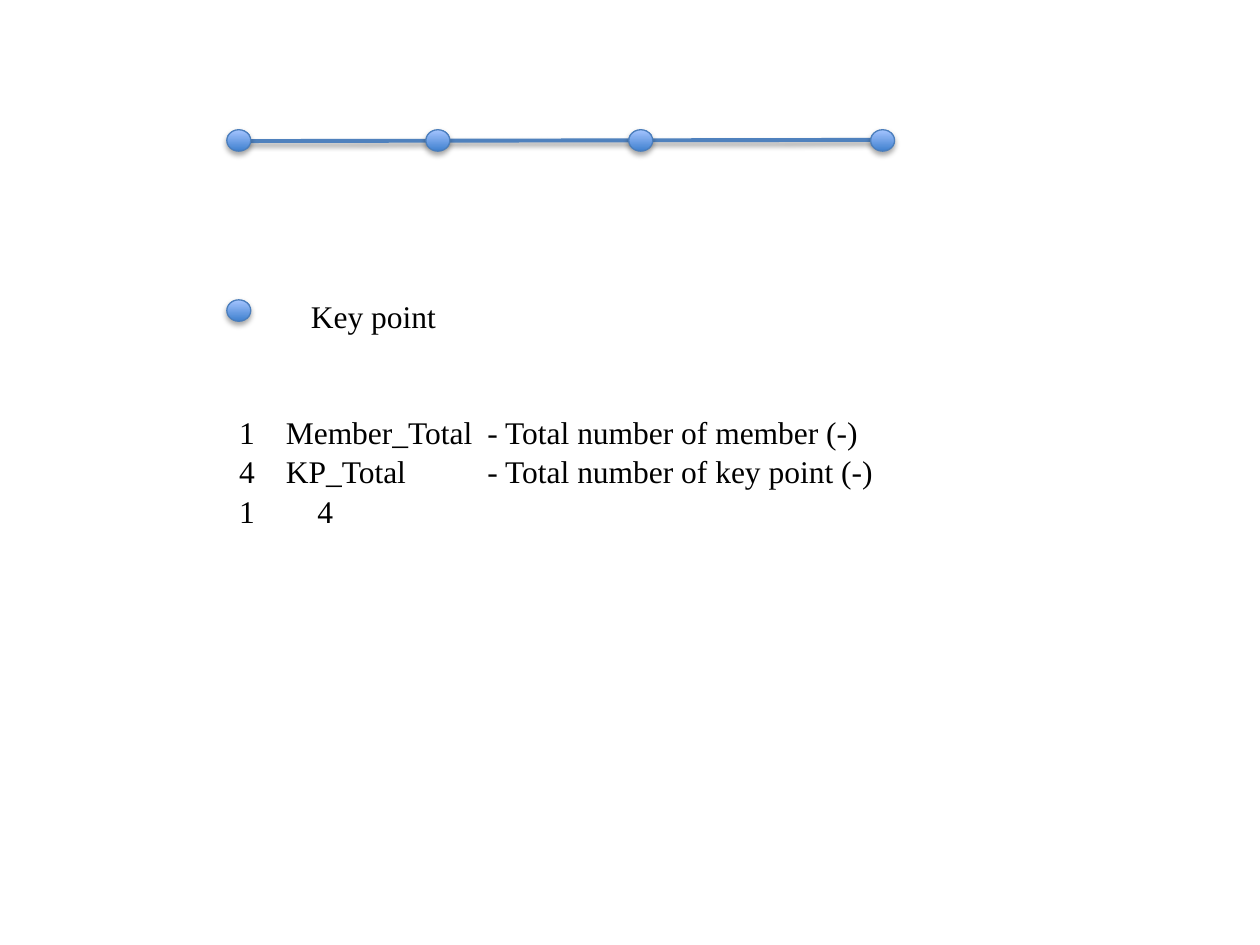
import pptx
import pptx.util
import pptx.dml.color
import pptx.enum.shapes
import pptx.enum.text
import pptx.oxml
import pptx.oxml.ns

Inches, Pt = pptx.util.Inches, pptx.util.Pt
HUES = {"line": "4F81BD", "edge": "4B7EBC", "low": "3F80CE",
        "high": "A4C4FF", "text": "000000"}
FONT = {"name": "Times New Roman", "size": Pt(18)}
FRAME = {"word_wrap": True,
         "auto_size": pptx.enum.text.MSO_AUTO_SIZE.SHAPE_TO_FIT_TEXT}
DOT_W, DOT_H = 0.19, 0.17


def rgb(name):
    return pptx.dml.color.RGBColor.from_string(HUES[name])


def apply(item, values):
    for key, value in values.items():
        setattr(item, key, value)


def add_shadow(shape, alpha, dist):
    """Cast a soft black shadow straight down."""
    shape._element.spPr.append(pptx.oxml.parse_xml(
        f'<a:effectLst {pptx.oxml.ns.nsdecls("a")}>'
        f'<a:outerShdw blurRad="{Pt(3.1)}" dist="{Pt(dist)}" dir="5400000" '
        f'rotWithShape="0"><a:srgbClr val="000000">'
        f'<a:alpha val="{alpha * 1000}"/></a:srgbClr>'
        f'</a:outerShdw></a:effectLst>'))


def add_dot(slide, left, top):
    dot = slide.shapes.add_shape(
        pptx.enum.shapes.MSO_SHAPE.OVAL,
        Inches(left), Inches(top), Inches(DOT_W), Inches(DOT_H))
    dot.fill.gradient()
    dot.fill.gradient_angle = 90
    for stop, place, hue in zip(dot.fill.gradient_stops, (0, 1), ("low", "high")):
        stop.position = place
        stop.color.rgb = rgb(hue)
    dot.line.color.rgb = rgb("edge")
    dot.line.width = Pt(0.75)
    add_shadow(dot, 35, 1.8)


def add_text(slide, box, rows):
    """Each row is its text and the tab stops, in inches, that align it."""
    frame = slide.shapes.add_textbox(*map(Inches, box)).text_frame
    apply(frame, FRAME)
    for i, (text, tabs) in enumerate(rows):
        para = frame.paragraphs[0] if i == 0 else frame.add_paragraph()
        para.line_spacing = 1.05
        if tabs:
            stops = "".join(f'<a:tab pos="{Inches(tab)}" algn="l"/>' for tab in tabs)
            para._p.get_or_add_pPr().append(pptx.oxml.parse_xml(
                f'<a:tabLst {pptx.oxml.ns.nsdecls("a")}>{stops}</a:tabLst>'))
        run = para.add_run()
        run.text = text
        apply(run.font, FONT)
        run.font.color.rgb = rgb("text")


def add_beam(slide, left, top, width):
    """A member with key points at the given offsets."""
    mid = top + DOT_H / 2
    beam = slide.shapes.add_connector(
        pptx.enum.shapes.MSO_CONNECTOR.STRAIGHT,
        Inches(left + 0.09), Inches(mid + 0.005),
        Inches(left + width - 0.09), Inches(mid - 0.005))
    beam.line.color.rgb = rgb("line")
    beam.line.width = Pt(2.25)
    add_shadow(beam, 38, 1.6)
    for step in (0, 1.58, 3.19, width - DOT_W):
        add_dot(slide, left + step, top)


def add_key(slide, left, top):
    add_dot(slide, left, top + 0.09)
    add_text(slide, (left + 0.57, top, 1.94, 0.4), [("Key point", ())])


def add_notes(slide, left, top, width, height):
    cols = (0.37, 1.97)
    add_text(slide, (left, top, width, height), [
        ("1\tMember_Total\t- Total number of member (-)", cols),
        ("4\tKP_Total\t- Total number of key point (-)", cols),
        ("1\t4", (0.62,)),
    ])


def main():
    deck = pptx.Presentation()
    apply(deck, {"slide_width": Inches(10), "slide_height": Inches(7.5)})
    slide = deck.slides.add_slide(deck.slide_layouts[6])
    # Member with its key points
    add_beam(slide, 1.8, 1.03, 5.3)
    # Legend
    add_key(slide, 1.8, 2.29)
    # Input values and their meaning
    add_notes(slide, 1.8, 3.21, 6.52, 1.01)
    deck.save("out.pptx")


if __name__ == "__main__":
    main()
